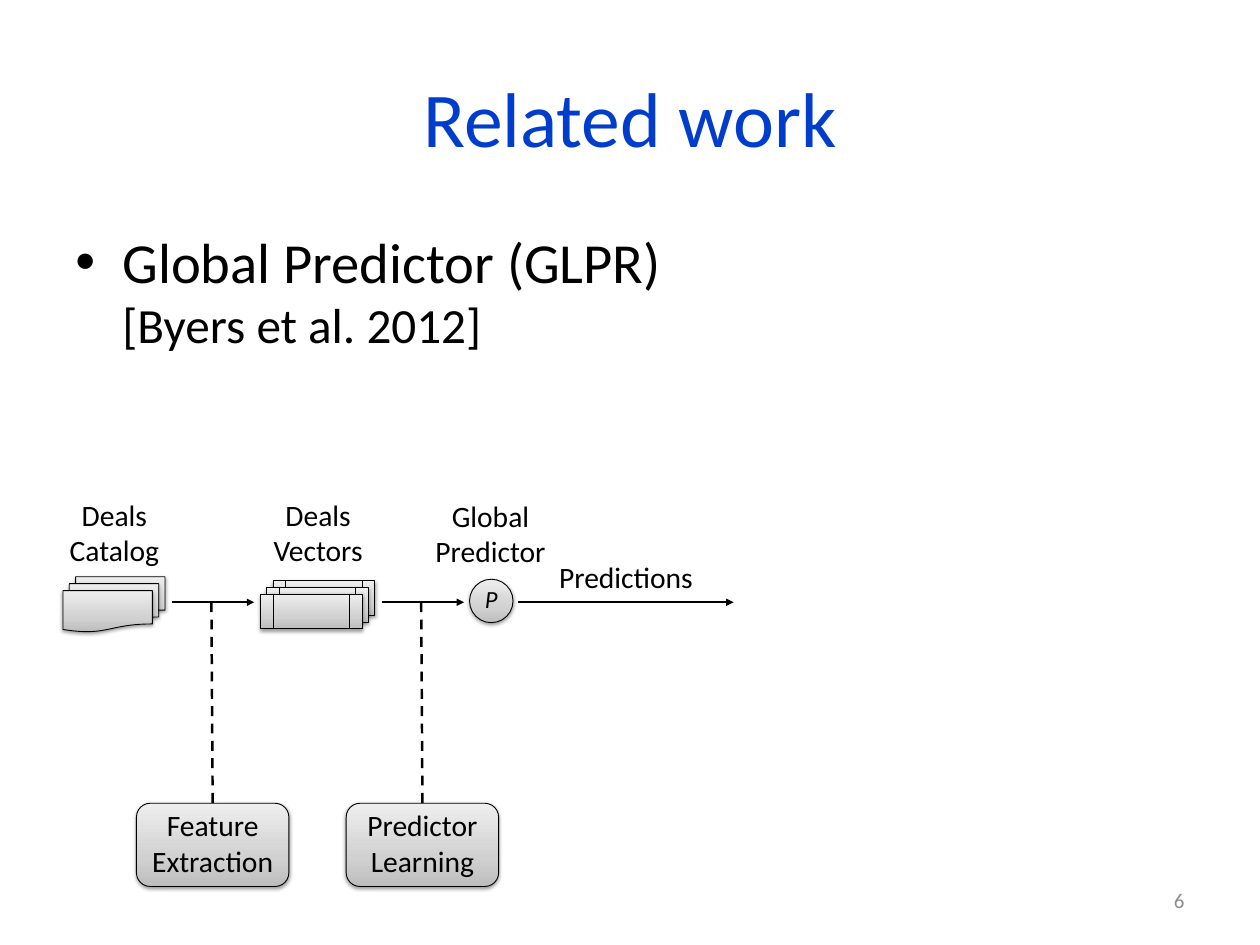
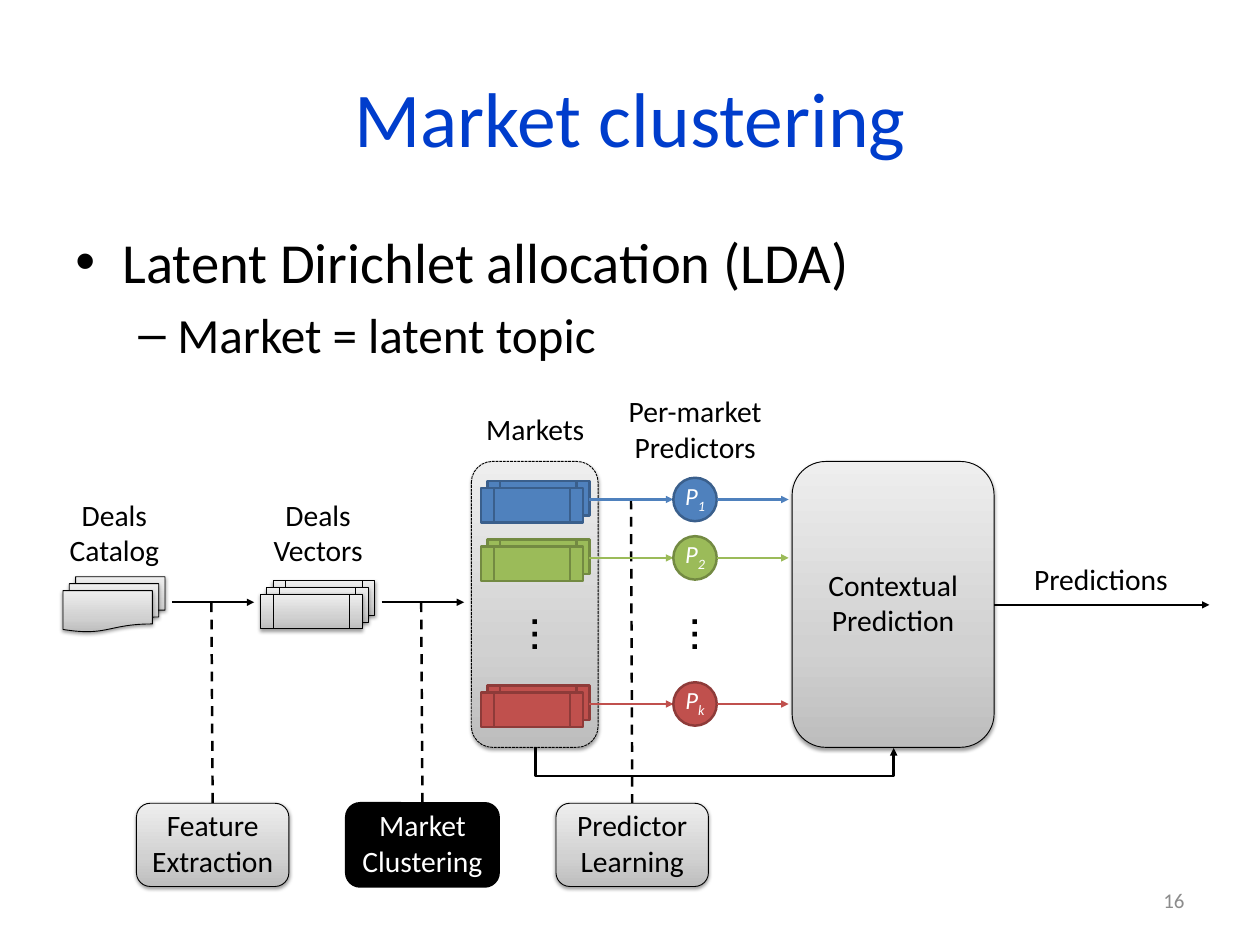
from copy import deepcopy

from pptx import Presentation
from pptx.dml.color import RGBColor
from pptx.enum.dml import MSO_LINE
from pptx.enum.shapes import MSO_CONNECTOR, MSO_SHAPE
from pptx.enum.text import MSO_ANCHOR, MSO_AUTO_SIZE, PP_ALIGN
from pptx.oxml.ns import qn
from pptx.oxml.xmlchemy import OxmlElement
from pptx.util import Inches, Pt

WIDTH, HEIGHT = 14.22, 10.67
UNIT = WIDTH / 100
PITCH = 16.65
FLOW_Y = 47.82
BOX_X, BOX_Y, BOX_W, BOX_H = 10.83, 63.78, 12.1, 6.61
PANEL_Y, PANEL_H = 36.64, 22.7
BALL = 3.45

FONT = "Calibri"
BLACK, WHITE, BLUE, MUTED = "000000", "FFFFFF", "003DCC", "8C8C8C"
GREY = [(0, "BDBDBD"), (0.35, "D1D1D1"), (1, "EEEEEE")]
MARKETS = [
    ("1", 39.66, "4F81BD", "3A5F8C"),
    ("2", 44.3, "9BBB59", "738A42"),
    ("k", 55.9, "C0504D", "8E3B39"),
]

LEFT, MID, RIGHT = PP_ALIGN.LEFT, PP_ALIGN.CENTER, PP_ALIGN.RIGHT
TOP, CENTRE = MSO_ANCHOR.TOP, MSO_ANCHOR.MIDDLE
FIXED = MSO_AUTO_SIZE.NONE
ROUND, OVAL = MSO_SHAPE.ROUNDED_RECTANGLE, MSO_SHAPE.OVAL
PAGE, CARD = MSO_SHAPE.FLOWCHART_DOCUMENT, MSO_SHAPE.FLOWCHART_PREDEFINED_PROCESS
DASH, FINE_DASH = MSO_LINE.DASH, MSO_LINE.SQUARE_DOT
STRAIGHT, ELBOW = MSO_CONNECTOR.STRAIGHT, MSO_CONNECTOR.ELBOW

PLAIN_PAD = (0.1, 0.05, 0.1, 0.05)
WIDE_PAD = (0.14, 0.07, 0.14, 0.07)
BOX_PAD = (0.1, 0, 0.1, 0.05)
BALL_PAD = (0, 0, 0, 0.05)
DOTS_PAD = (0.1, 0, 0.1, 0.41)
BULLETS = [("•", 0.53, -0.53), ("–", 1.15, -0.44)]


def grid(*cells):
    """Turn grid units into lengths."""
    return [Inches(cell * UNIT) for cell in cells]


def paint(code):
    """Turn a hex string into a colour."""
    return RGBColor.from_string(code)


def put(item, **values):
    """Set every given attribute."""
    for name, value in values.items():
        setattr(item, name, value)


def node(parent, tag, **values):
    """Append an XML element with attributes."""
    child = OxmlElement(tag)
    for name, value in values.items():
        child.set(name, str(value))
    parent.append(child)
    return child


def frame(shape, pad, anchor=CENTRE, wrap=True):
    """Prepare the text frame of a shape."""
    text = shape.text_frame
    left, top, right, bottom = map(Inches, pad)
    put(text, margin_left=left, margin_top=top, margin_right=right,
        margin_bottom=bottom, vertical_anchor=anchor, word_wrap=wrap, auto_size=FIXED)
    return text


def add_run(para, text, size, hue=BLACK, **style):
    """Add one formatted run."""
    run = para.add_run()
    run.text = text
    put(run.font, **{"size": Pt(size), "name": FONT, **style})
    run.font.color.rgb = paint(hue)
    return run


def write(shape, text, size=24, hue=BLACK, align=MID, pad=PLAIN_PAD,
          anchor=TOP, wrap=True, **style):
    """Write one paragraph into a shape."""
    para = frame(shape, pad, anchor, wrap).paragraphs[0]
    para.alignment = align
    add_run(para, text, size, hue, **style)
    return para


def label(slide, area, text, **style):
    """Add a text box."""
    box = slide.shapes.add_textbox(*grid(*area))
    write(box, text, **style)
    return box


def shade(shape):
    """Give a shape the grey gradient and a soft shadow."""
    fill = shape.fill
    fill.gradient()
    fill.gradient_angle = 90
    props = shape._element.spPr
    stops = props.find(qn("a:gradFill")).find(qn("a:gsLst"))
    stops.insert(1, deepcopy(stops[0]))
    for stop, (place, hue) in zip(fill.gradient_stops, GREY):
        stop.position = place
        stop.color.rgb = paint(hue)
    shadow = node(props.find(qn("a:effectLst")), "a:outerShdw", blurRad=Pt(3.1),
                  dist=Pt(1.6), dir=5400000, rotWithShape=0)
    node(node(shadow, "a:srgbClr", val=BLACK), "a:alpha", val=38000)


def draw(slide, kind, area, fill=None, edge=BLACK, dash=None):
    """Add a preset shape, grey unless a fill is given."""
    shape = slide.shapes.add_shape(kind, *grid(*area))
    shape.shadow.inherit = False
    if fill:
        shape.fill.solid()
        shape.fill.fore_color.rgb = paint(fill)
    else:
        shade(shape)
    shape.line.color.rgb = paint(edge)
    put(shape.line, width=Pt(2 if fill else 0.75), dash_style=dash)
    return shape


def link(slide, ends, hue=BLACK, dash=None, head=True, kind=STRAIGHT):
    """Add a connector, with an arrowhead if wanted."""
    line = slide.shapes.add_connector(kind, *grid(*ends))
    line.line.color.rgb = paint(hue)
    put(line.line, width=Pt(2), dash_style=dash)
    props = line._element.spPr
    if head:
        node(props.find(qn("a:ln")), "a:tailEnd", type="triangle")
    node(props, "a:effectLst")
    return line


def stack(slide, kind, area, count, **look):
    """Draw overlapping shapes, the given area in front."""
    x, y, w, h = area
    for step in reversed(range(count)):
        draw(slide, kind, (x + 0.5 * step, y - 0.55 * step, w, h), **look)


def ball(slide, x, y, sub="", hue=BLACK, **look):
    """Draw a predictor circle centred on a row."""
    shape = draw(slide, OVAL, (x, y - BALL / 2, BALL, BALL), **look)
    para = write(shape, "P", 20, hue, pad=BALL_PAD, anchor=CENTRE, italic=True)
    if sub:
        run = add_run(para, sub, 20, hue, italic=True)
        run.font._element.set("baseline", "-25000")


def block(slide, area, text, hue=BLACK, **look):
    """Draw a rounded box with text."""
    write(draw(slide, ROUND, area, **look), text, hue=hue, pad=BOX_PAD, anchor=CENTRE)


def task(slide, col, text, top=FLOW_Y, **look):
    """Draw a task box and the dashed line up to the flow."""
    x = BOX_X + PITCH * col
    mid = x + BOX_W / 2
    link(slide, (mid - 0.1, top, mid, BOX_Y), dash=DASH, head=False)
    block(slide, (x, BOX_Y, BOX_W, BOX_H), text, **look)


def outcome(slide, x, y, text_x):
    """Draw the arrow to the predictions."""
    label(slide, (text_x, y - 3.8, 12.17, 3.55), "Predictions", wrap=False)
    link(slide, (x, y, x + 17.09, y))


def flow(slide):
    """Draw the first stages, which both slides share."""
    stack(slide, PAGE, (5, 46.9, 7.1, 3.3), 3)
    stack(slide, CARD, (20.67, 47.19, 8.09, 2.75), 3)
    for col, text in enumerate(("Deals Catalog", "Deals Vectors")):
        label(slide, (4.08 + 16.17 * col, 39.1, 10, 6.4), text)
        x = 13.64 + PITCH * col
        link(slide, (x, FLOW_Y, x + 6.54, FLOW_Y))
    task(slide, 0, "Feature Extraction")


def bullet(para, level):
    """Give a paragraph its bullet and indent."""
    mark, margin, indent = BULLETS[level]
    para.level = level
    para.space_before = Pt(8 if level else 9.2)
    props = para._p.get_or_add_pPr()
    props.set("marL", str(Inches(margin)))
    props.set("indent", str(Inches(indent)))
    node(props, "a:buFont", typeface="Arial")
    node(props, "a:buChar", char=mark)


def start(deck, title, number):
    """Add a slide with title and number, and return it with its body text."""
    slide = deck.slides.add_slide(deck.slide_layouts[5])
    head = slide.shapes.title
    left, top, width, height = grid(5, 3, 90, 12.5)
    put(head, left=left, top=top, width=width, height=height)
    write(head, title, 63, BLUE, pad=WIDE_PAD, anchor=CENTRE)
    body = frame(slide.shapes.add_textbox(*grid(5, 17.5, 90, 49.5)), WIDE_PAD, TOP)
    label(slide, (71.67, 69.5, 23.33, 4), number, size=17, hue=MUTED, align=RIGHT,
          pad=WIDE_PAD, anchor=CENTRE)
    return slide, body


def related(deck):
    """Build the slide on the global predictor."""
    slide, body = start(deck, "Related work", "6")
    para = body.paragraphs[0]
    bullet(para, 0)
    add_run(para, "Global Predictor (GLPR)", 46)
    para.add_line_break()
    add_run(para, "[Byers et al. 2012]", 40)
    flow(slide)
    label(slide, (31.72, 39.17, 14.42, 6.4), "Global Predictor")
    ball(slide, 37.27, 47.72)
    outcome(slide, 41.14, FLOW_Y, 43.6)
    task(slide, 1, "Predictor Learning")


def market(slide, sub, y, fill, edge):
    """Draw one market row with its predictor."""
    stack(slide, CARD, (38.18, y - 0.91, 8.09, 2.75), 2, fill=fill, edge=edge)
    link(slide, (46.76, y, 53.44, y), fill)
    ball(slide, 53.44, y, sub, WHITE, fill=fill, edge=edge)
    link(slide, (56.89, y, 62.59, y), fill)


def bend(slide):
    """Draw the bent arrow under the markets."""
    line = link(slide, (56.77, 45.15, 56.67, 73.56), kind=ELBOW)
    props = line._element.spPr
    props.find(qn("a:xfrm")).set("rot", "16200000")
    shape = props.find(qn("a:prstGeom"))
    for old in list(shape):
        shape.remove(old)
    node(node(shape, "a:avLst"), "a:gd", name="adj1", fmla="val 2320000")


def cluster(deck):
    """Build the slide on market clustering."""
    slide, body = start(deck, "Market clustering", "16")
    lines = ("Latent Dirichlet allocation (LDA)", 46), ("Market = latent topic", 40)
    for level, (text, size) in enumerate(lines):
        para = body.add_paragraph() if level else body.paragraphs[0]
        bullet(para, level)
        add_run(para, text, size)
    block(slide, (62.87, PANEL_Y, 16.03, PANEL_H), "Contextual Prediction")
    outcome(slide, 78.9, 48.03, 81.29)
    bend(slide)
    draw(slide, ROUND, (37.41, PANEL_Y, 10.06, PANEL_H), dash=FINE_DASH)
    label(slide, (37.48, 32.28, 10, 3.52), "Markets")
    label(slide, (47.96, 30.87, 14.42, 6.4), "Per-market Predictors")
    flow(slide)
    task(slide, 1, "Market Clustering", fill=BLACK, hue=WHITE)
    task(slide, 2, "Predictor Learning", top=MARKETS[0][1])
    for row in MARKETS:
        market(slide, *row)
    for x in (39.66, 52.32):
        dots = label(slide, (x, 46.34, 5.63, 8.02), "…", size=43, pad=DOTS_PAD, name="Cabin")
        dots.rotation = 270


def main():
    """Build and save the slides."""
    deck = Presentation()
    put(deck, slide_width=Inches(WIDTH), slide_height=Inches(HEIGHT))
    related(deck)
    cluster(deck)
    deck.save("out.pptx")


if __name__ == "__main__":
    main()
